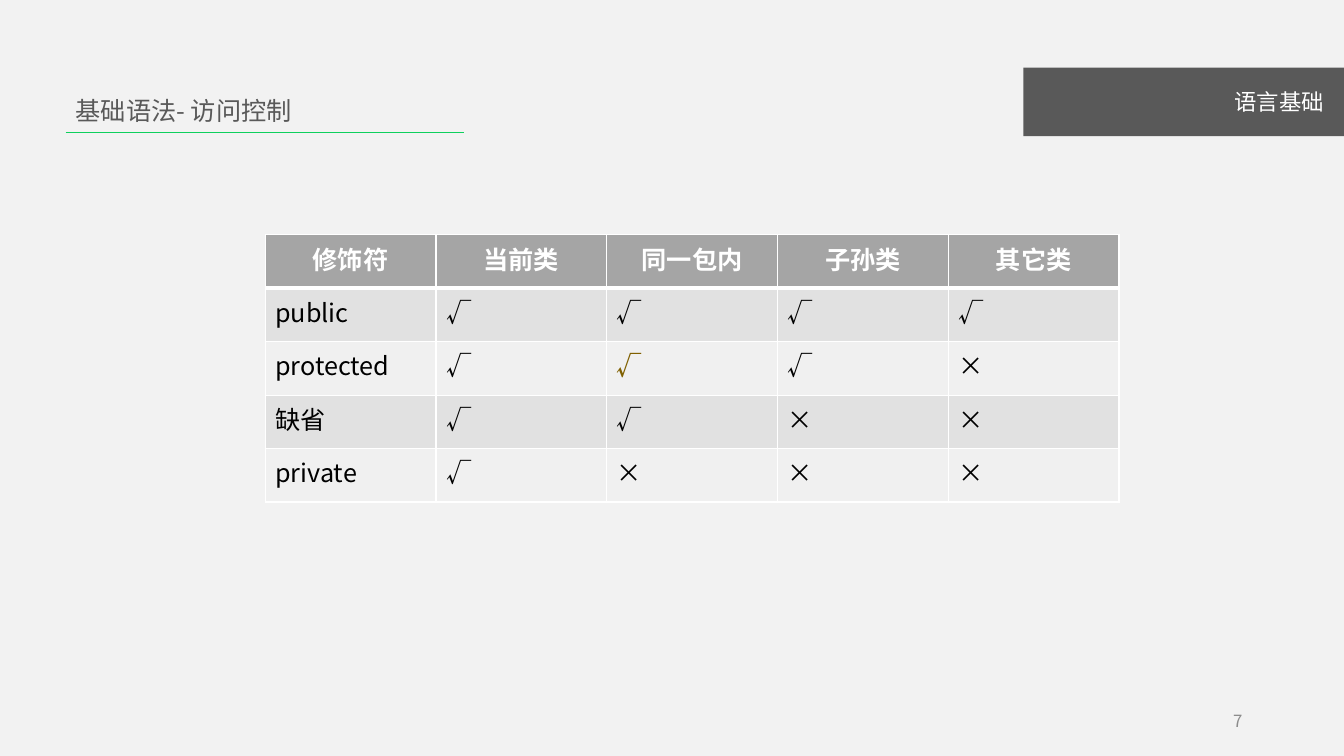
from lxml import etree
from pptx import Presentation
from pptx.dml.color import RGBColor
from pptx.enum.shapes import MSO_CONNECTOR, MSO_SHAPE
from pptx.enum.text import MSO_ANCHOR, MSO_AUTO_SIZE, PP_ALIGN
from pptx.oxml.ns import qn
from pptx.util import Inches, Pt

TITLE = "基础语法- 访问控制"
SECTION = "语言基础"
PAGE_NUMBER = "7"
ACCESS_TABLE = [
    ["修饰符", "当前类", "同一包内", "子孙类", "其它类"],
    ["public", "√", "√", "√", "√"],
    ["protected", "√", "√", "√", "×"],
    ["缺省", "√", "√", "×", "×"],
    ["private", "√", "×", "×", "×"],
]
HIGHLIGHT = (2, 2)

FONT = "Noto Sans CJK SC"
COLORS = {
    "background": "F2F2F2", "dark": "595959", "green": "0ED05D",
    "white": "FFFFFF", "black": "000000", "number": "8C8C8C",
    "header": "A5A5A5", "odd": "E1E1E1", "even": "F0F0F0", "highlight": "806000",
}
WIDTH, HEIGHT = 13.33, 7.5
COLUMN, ROW = 1.694, 0.53
TABLE_LEFT, TABLE_TOP = 2.63, 2.33
LEFT, RULE_Y = 0.65, 1.31
LEFT_ALIGN, CENTER, RIGHT = PP_ALIGN.LEFT, PP_ALIGN.CENTER, PP_ALIGN.RIGHT
TOP, MIDDLE = MSO_ANCHOR.TOP, MSO_ANCHOR.MIDDLE


def color(name):
    return RGBColor.from_string(COLORS[name])


def place(shape, left, top, width, height):
    shape.left, shape.top = Inches(left), Inches(top)
    shape.width, shape.height = Inches(width), Inches(height)


def write(frame, text, size, color_name, align, bold=False, spacing=1.0):
    para = frame.paragraphs[0]
    para.alignment = align
    para.line_spacing = spacing
    para.space_before = Pt(0)
    span = para.add_run()
    span.text = text
    span.font.name = FONT
    span.font.size = Pt(size)
    span.font.bold = bold
    span.font.color.rgb = color(color_name)
    east_asian = etree.SubElement(span.font._element, qn("a:ea"))
    east_asian.set("typeface", FONT)
    return para


def fit(frame):
    frame.word_wrap = True
    frame.auto_size = MSO_AUTO_SIZE.NONE
    frame.vertical_anchor = MIDDLE


def add_borders(cell, row):
    weights = {"lnL": 1, "lnR": 1, "lnT": 3 if row == 1 else 1, "lnB": 3 if row == 0 else 1}
    properties = cell._tc.get_or_add_tcPr()
    for position, (side, weight) in enumerate(weights.items()):
        line = etree.Element(qn(f"a:{side}"), w=str(Pt(weight)))
        fill = etree.SubElement(line, qn("a:solidFill"))
        etree.SubElement(fill, qn("a:srgbClr"), val=COLORS["white"])
        properties.insert(position, line)


def add_heading(page):
    banner = page.shapes.add_shape(
        MSO_SHAPE.RECTANGLE, Inches(10.15), Inches(0.67), Inches(WIDTH - 10.15), Inches(0.68))
    banner.shadow.inherit = False
    banner.fill.solid()
    banner.fill.fore_color.rgb = color("dark")
    banner.line.fill.background()

    rule = page.shapes.add_connector(
        MSO_CONNECTOR.STRAIGHT, Inches(LEFT), Inches(RULE_Y), Inches(4.6), Inches(RULE_Y))
    rule.line.color.rgb = color("green")
    rule.line.width = Pt(0.5)
    etree.SubElement(rule._element.spPr, qn("a:effectLst"))

    tree = page.shapes._spTree
    for position, shape in enumerate((banner, rule), start=2):
        tree.remove(shape._element)
        tree.insert(position, shape._element)

    title = page.shapes.title
    place(title, LEFT, 0.92, 3.96, 0.39)
    fit(title.text_frame)
    write(title.text_frame, TITLE, 18, "dark", LEFT_ALIGN, spacing=0.9)

    section = page.placeholders[1]
    place(section, 10.46, 0.85, 2.77, 0.35)
    fit(section.text_frame)
    para = write(section.text_frame, SECTION, 16, "white", RIGHT, spacing=0.9)
    properties = para._p.get_or_add_pPr()
    properties.set("marL", "0")
    properties.set("indent", "0")
    etree.SubElement(properties, qn("a:buNone"))


def add_access_table(page):
    rows, columns = len(ACCESS_TABLE), len(ACCESS_TABLE[0])
    table = page.shapes.add_table(
        rows, columns, Inches(TABLE_LEFT), Inches(TABLE_TOP),
        Inches(columns * COLUMN), Inches(rows * ROW)).table
    for column in table.columns:
        column.width = Inches(COLUMN)
    for row, values in enumerate(ACCESS_TABLE):
        table.rows[row].height = Inches(ROW)
        header = row == 0
        fill = "header" if header else ("even", "odd")[row % 2]
        for column, value in enumerate(values):
            cell = table.cell(row, column)
            cell.vertical_anchor = TOP
            cell.fill.solid()
            cell.fill.fore_color.rgb = color(fill)
            add_borders(cell, row)
            marked = (row, column) == HIGHLIGHT
            ink = "white" if header else "highlight" if marked else "black"
            write(cell.text_frame, value, 18, ink,
                  CENTER if header else LEFT_ALIGN, bold=header or marked)


def add_page_number(page):
    box = page.shapes.add_textbox(Inches(11.57), Inches(6.95), Inches(0.85), Inches(0.4))
    fit(box.text_frame)
    write(box.text_frame, PAGE_NUMBER, 12, "number", RIGHT)


def main():
    deck = Presentation()
    deck.slide_width, deck.slide_height = Inches(WIDTH), Inches(HEIGHT)
    page = deck.slides.add_slide(deck.slide_layouts[1])
    page.background.fill.solid()
    page.background.fill.fore_color.rgb = color("background")
    add_heading(page)
    add_page_number(page)
    add_access_table(page)
    deck.save("out.pptx")


if __name__ == "__main__":
    main()
